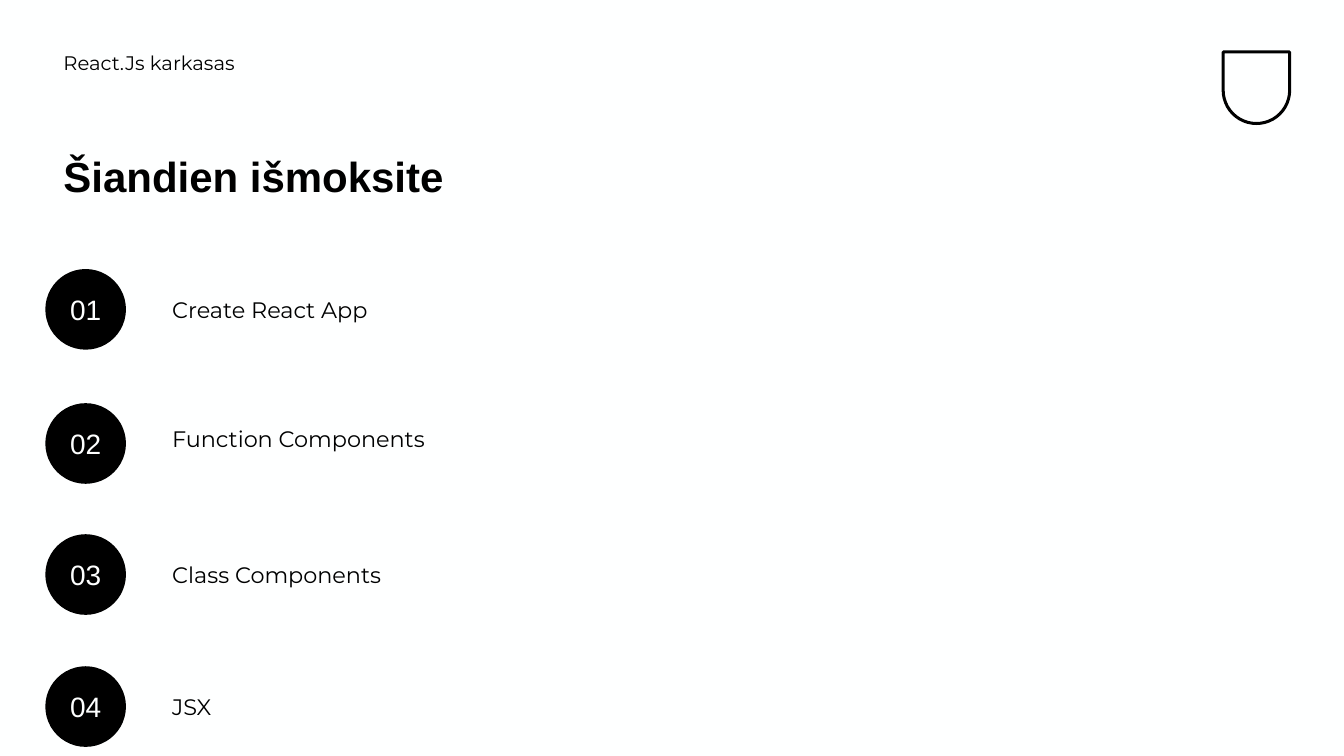
from dataclasses import dataclass

from pptx import Presentation
from pptx.dml.color import RGBColor
from pptx.enum.shapes import MSO_SHAPE
from pptx.enum.text import MSO_ANCHOR, MSO_AUTO_SIZE, PP_ALIGN
from pptx.slide import Slide
from pptx.text.text import TextFrame
from pptx.util import Pt


@dataclass(frozen=True)
class Theme:
    ink: RGBColor = RGBColor(0x00, 0x00, 0x00)
    paper: RGBColor = RGBColor(0xFE, 0xFF, 0xFF)
    heading_font: str = "Arial"
    body_font: str = "Montserrat"
    course_size: float = 14
    title_size: float = 30
    topic_size: float = 16
    number_size: float = 20


@dataclass(frozen=True)
class Topic:
    text: str
    circle_top: float
    label_top: float


THEME = Theme()
ROW_HEIGHT = 57.6
TOPICS = [
    Topic("Create React App", 192.2, 192.2),
    Topic("Function Components", 288, 284.4),
    Topic("Class Components", 381.6, 381.6),
    Topic("JSX", 475.9, 475.6),
]


def write(tf: TextFrame, text: str, font: str, size: float, color: RGBColor,
          bold: bool = False, spacing: float = 1.0,
          align: PP_ALIGN = PP_ALIGN.LEFT,
          anchor: MSO_ANCHOR = MSO_ANCHOR.TOP) -> None:
    tf.word_wrap = True
    tf.auto_size = MSO_AUTO_SIZE.NONE
    tf.vertical_anchor = anchor
    p = tf.paragraphs[0]
    p.alignment = align
    p.line_spacing = spacing
    r = p.add_run()
    r.text = text
    r.font.name = font
    r.font.size = Pt(size)
    r.font.bold = bold
    r.font.color.rgb = color


def add_title(s: Slide, text: str) -> None:
    title = s.shapes.title
    title.left, title.top = Pt(38.16), Pt(108)
    title.width, title.height = Pt(406), Pt(107.3)
    write(title.text_frame, text, THEME.heading_font, THEME.title_size,
          THEME.ink, bold=True, spacing=0.9)


def add_course(s: Slide, text: str) -> None:
    box = s.shapes.add_textbox(Pt(38.16), Pt(36), Pt(442), Pt(36))
    write(box.text_frame, text, THEME.body_font, THEME.course_size,
          THEME.ink, spacing=0.8)


def add_shield(s: Slide) -> None:
    sp = s.shapes.add_shape(MSO_SHAPE.ROUND_2_SAME_RECTANGLE,
                            Pt(873.7), Pt(37.1), Pt(47.5), Pt(51.1))
    sp.adjustments[0] = 0.5
    sp.rotation = 180
    sp.shadow.inherit = False
    sp.fill.background()
    sp.line.color.rgb = THEME.ink
    sp.line.width = Pt(2.16)


def add_topic(s: Slide, number: int, topic: Topic) -> None:
    sp = s.shapes.add_shape(MSO_SHAPE.OVAL, Pt(32.4), Pt(topic.circle_top),
                            Pt(ROW_HEIGHT), Pt(ROW_HEIGHT))
    sp.shadow.inherit = False
    sp.fill.solid()
    sp.fill.fore_color.rgb = THEME.ink
    sp.line.fill.background()
    write(sp.text_frame, f"{number:02}", THEME.heading_font, THEME.number_size,
          THEME.paper, align=PP_ALIGN.CENTER, anchor=MSO_ANCHOR.MIDDLE)

    box = s.shapes.add_textbox(Pt(115.9), Pt(topic.label_top),
                               Pt(333.4), Pt(ROW_HEIGHT))
    write(box.text_frame, topic.text, THEME.body_font, THEME.topic_size,
          THEME.ink, anchor=MSO_ANCHOR.MIDDLE)


def main() -> None:
    prs = Presentation()
    prs.slide_width, prs.slide_height = Pt(960), Pt(540)
    s = prs.slides.add_slide(prs.slide_layouts[5])
    s.background.fill.solid()
    s.background.fill.fore_color.rgb = THEME.paper

    # Header
    add_shield(s)
    add_course(s, "React.Js karkasas")
    add_title(s, "Šiandien išmoksite")

    # Numbered topics
    for number, topic in enumerate(TOPICS, start=1):
        add_topic(s, number, topic)

    prs.save("out.pptx")


if __name__ == "__main__":
    main()
